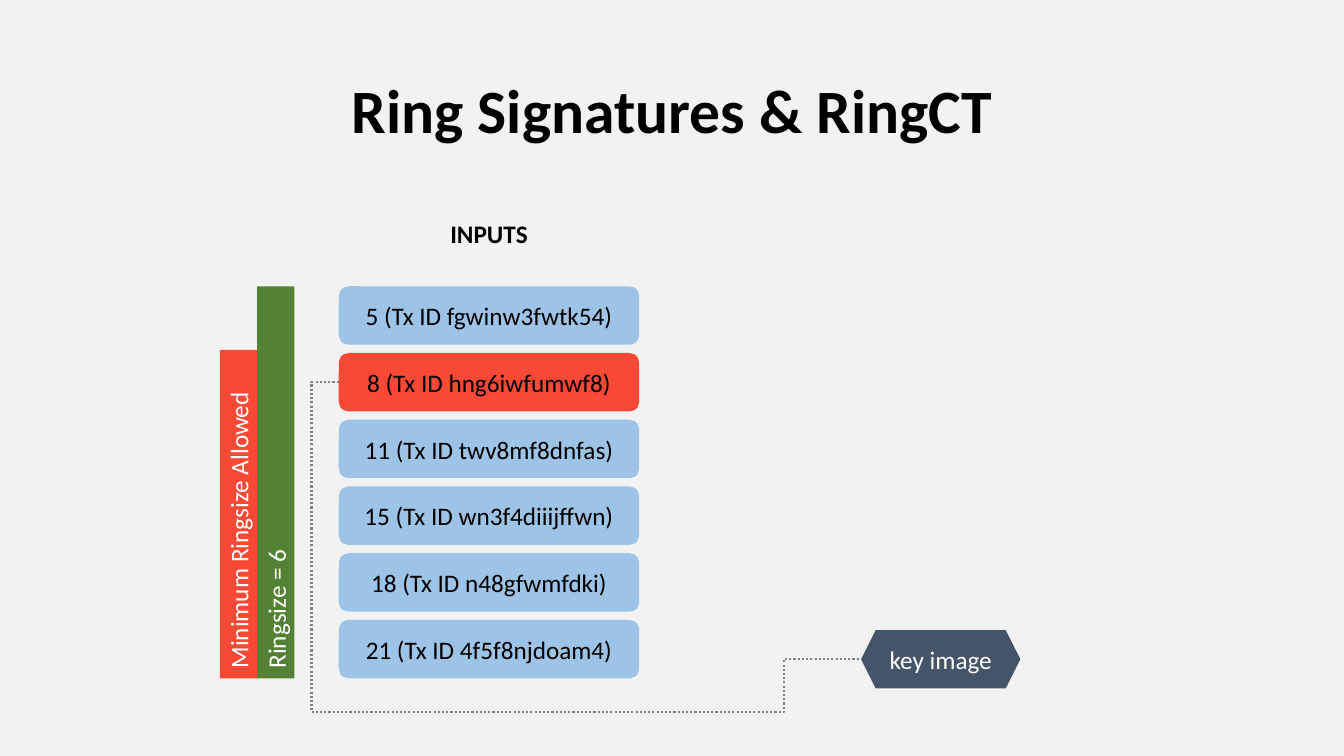
from lxml import etree
from pptx import Presentation
from pptx import util as u
from pptx.dml.color import RGBColor
from pptx.enum import dml, shapes, text
from pptx.oxml.ns import qn

COLORS = {
    "background": "F2F2F2",
    "decoy": "9DC3E6",
    "real": "F84836",
    "ringsize": "548235",
    "key": "445469",
    "line": "808080",
    "dark": "000000",
    "light": "FFFFFF",
}
INPUTS = [
    "5 (Tx ID fgwinw3fwtk54)",
    "8 (Tx ID hng6iwfumwf8)",
    "11 (Tx ID twv8mf8dnfas)",
    "15 (Tx ID wn3f4diiijffwn)",
    "18 (Tx ID n48gfwmfdki)",
    "21 (Tx ID 4f5f8njdoam4)",
]
REAL_INPUT = 1
WIDTH, HEIGHT = 13.33, 7.5
COLUMN_LEFT, COLUMN_WIDTH = 3.36, 2.98
ROW_TOP, ROW_HEIGHT, ROW_STEP = 2.84, 0.58, 0.662
BAR_LEFT, BAR_WIDTH = 2.18, 0.37
COLUMN_BOTTOM = ROW_TOP + (len(INPUTS) - 1) * ROW_STEP + ROW_HEIGHT


def write(box, label, size=18, color="dark", bold=False, align="CENTER",
          anchor="MIDDLE", wrap=True, spacing=1.0):
    frame = box.text_frame
    frame.word_wrap = wrap
    frame.vertical_anchor = text.MSO_ANCHOR[anchor]
    para = frame.paragraphs[0]
    para.alignment = text.PP_ALIGN[align]
    para.line_spacing = spacing
    span = para.add_run()
    span.text = label
    span.font.name = "Calibri"
    span.font.size = u.Pt(size)
    span.font.bold = bold
    span.font.color.rgb = RGBColor.from_string(COLORS[color])


def add_block(kind, left, top, width, height, fill):
    block = page.shapes.add_shape(
        shapes.MSO_SHAPE[kind], *map(u.Inches, (left, top, width, height)))
    block.shadow.inherit = False
    block.fill.solid()
    block.fill.fore_color.rgb = RGBColor.from_string(COLORS[fill])
    block.line.fill.background()
    return block


deck = Presentation()
deck.slide_width, deck.slide_height = u.Inches(WIDTH), u.Inches(HEIGHT)
page = deck.slides.add_slide(deck.slide_layouts[6])
page.background.fill.solid()
page.background.fill.fore_color.rgb = RGBColor.from_string(COLORS["background"])

title = page.shapes.add_textbox(*map(u.Inches, (0.92, 0.4, 11.5, 1.45)))
write(title, "Ring Signatures & RingCT", size=44, bold=True, spacing=0.9)

heading = page.shapes.add_textbox(*map(u.Inches, (4.36, 2.12, 0.98, 0.4)))
write(heading, "INPUTS", bold=True, anchor="TOP", wrap=False)
heading.text_frame.auto_size = text.MSO_AUTO_SIZE.SHAPE_TO_FIT_TEXT

bars = [("Minimum Ringsize Allowed", 3.26, "real"),
        ("Ringsize = 6", COLUMN_BOTTOM - ROW_TOP, "ringsize")]
for column, (label, length, fill) in enumerate(bars):
    center_x = BAR_LEFT + (column + 0.5) * BAR_WIDTH
    center_y = COLUMN_BOTTOM - length / 2
    bar = add_block("RECTANGLE", center_x - length / 2,
                    center_y - BAR_WIDTH / 2, length, BAR_WIDTH, fill)
    bar.rotation = 270
    write(bar, label, color="light", align="LEFT")

for row, label in enumerate(INPUTS):
    fill = "real" if row == REAL_INPUT else "decoy"
    entry = add_block("ROUNDED_RECTANGLE", COLUMN_LEFT,
                      ROW_TOP + row * ROW_STEP, COLUMN_WIDTH, ROW_HEIGHT, fill)
    write(entry, label)

key_left, key_top = 8.54, 6.25
key_image = add_block("HEXAGON", key_left, key_top, 1.58, ROW_HEIGHT, "key")
write(key_image, "key image", color="light")

real_middle = ROW_TOP + REAL_INPUT * ROW_STEP + ROW_HEIGHT / 2
key_middle = key_top + ROW_HEIGHT / 2
corner = (3.09, 7.06)
links = [((COLUMN_LEFT, real_middle), corner, "bentConnector2", None),
         (corner, (key_left, key_middle), "bentConnector3", 86000)]
for start, end, preset, bend in links:
    link = page.shapes.add_connector(
        shapes.MSO_CONNECTOR.ELBOW, *map(u.Inches, start + end))
    link.line.color.rgb = RGBColor.from_string(COLORS["line"])
    link.line.width = u.Pt(1.5)
    link.line.dash_style = dml.MSO_LINE.ROUND_DOT
    properties = link._element.spPr
    etree.SubElement(properties, qn("a:effectLst"))
    geometry = properties.find(qn("a:prstGeom"))
    geometry.set("prst", preset)
    if bend:
        guides = geometry.find(qn("a:avLst"))
        etree.SubElement(guides, qn("a:gd"), name="adj1", fmla=f"val {bend}")

deck.save("out.pptx")
